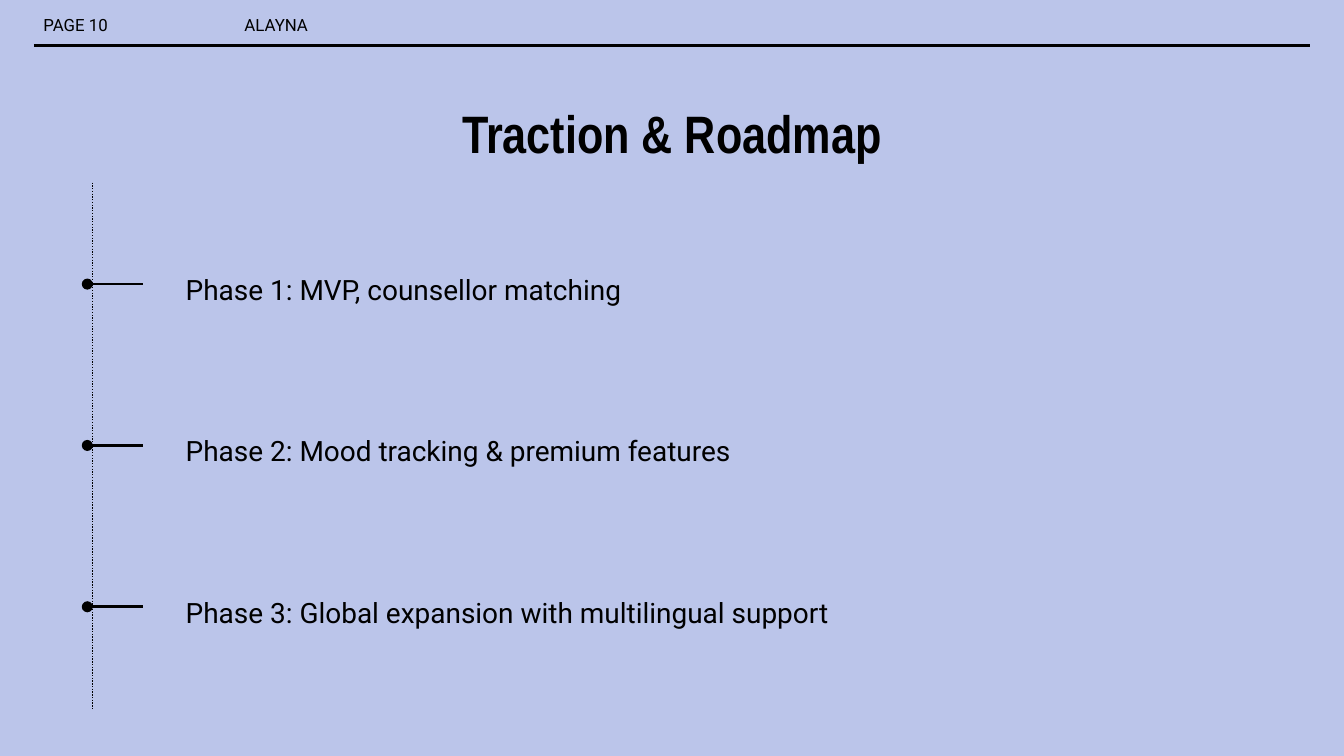
from dataclasses import dataclass

from lxml import etree
from pptx import Presentation
from pptx.dml.color import RGBColor
from pptx.enum.dml import MSO_LINE
from pptx.enum.shapes import MSO_CONNECTOR
from pptx.enum.text import MSO_ANCHOR, PP_ALIGN
from pptx.oxml.ns import qn
from pptx.shapes.connector import Connector
from pptx.slide import Slide
from pptx.util import Cm, Pt

STRAIGHT = MSO_CONNECTOR.STRAIGHT
DOTTED = MSO_LINE.ROUND_DOT
MIDDLE = MSO_ANCHOR.MIDDLE
LEFT = PP_ALIGN.LEFT
CENTER = PP_ALIGN.CENTER

COLORS = {"background": "BBC5EA", "ink": "000000"}
BODY_FONT = "Roboto"
TITLE_FONT = "Arial Narrow"

FIRST_PHASE_Y = 5.37
PHASE_STEP = 3.05
PHASE_HEIGHT = 1.96


@dataclass(frozen=True)
class Box:
    left: float
    top: float
    width: float
    height: float


@dataclass(frozen=True)
class HeaderLabel:
    text: str
    left: float


@dataclass(frozen=True)
class Phase:
    number: int
    goal: str


HEADER_LABELS = [HeaderLabel("PAGE 10", 0.64), HeaderLabel("ALAYNA", 4.44)]
PHASES = [
    Phase(1, "MVP, counsellor matching"),
    Phase(2, "Mood tracking & premium features"),
    Phase(3, "Global expansion with multilingual support"),
]


def add_text(s: Slide, text: str, box: Box, *, size: float, font: str = BODY_FONT,
             bold: bool = False, align: PP_ALIGN = LEFT,
             line_spacing: float = 1.0) -> None:
    sp = s.shapes.add_textbox(Cm(box.left), Cm(box.top), Cm(box.width), Cm(box.height))
    tf = sp.text_frame
    tf.word_wrap = True
    tf.vertical_anchor = MIDDLE
    tf.margin_left = tf.margin_right = Cm(0.18)
    tf.margin_top = tf.margin_bottom = Cm(0.1)
    p = tf.paragraphs[0]
    p.alignment = align
    p.line_spacing = line_spacing
    r = p.add_run()
    r.text = text
    r.font.size = Pt(size)
    r.font.name = font
    r.font.bold = bold
    r.font.color.rgb = RGBColor.from_string(COLORS["ink"])


def add_line(s: Slide, x1: float, y1: float, x2: float, y2: float,
             width: float = 1.5) -> Connector:
    line = s.shapes.add_connector(STRAIGHT, Cm(x1), Cm(y1), Cm(x2), Cm(y2))
    line.line.width = Pt(width)
    line.line.color.rgb = RGBColor.from_string(COLORS["ink"])
    etree.SubElement(line._element.spPr, qn("a:effectLst"))
    return line


def add_phase(s: Slide, phase: Phase, y: float) -> None:
    marker = add_line(s, 1.65, y, 2.7, y)
    etree.SubElement(marker.line._get_or_add_ln(), qn("a:headEnd"), type="oval")
    add_text(s, f"Phase {phase.number}: {phase.goal}",
             Box(3.33, y - PHASE_HEIGHT / 2, 20.42, PHASE_HEIGHT),
             size=15, line_spacing=1.3)


def main() -> None:
    prs = Presentation()
    prs.slide_width, prs.slide_height = Cm(25.4), Cm(14.29)
    s = prs.slides.add_slide(prs.slide_layouts[6])
    s.background.fill.solid()
    s.background.fill.fore_color.rgb = RGBColor.from_string(COLORS["background"])

    for label in HEADER_LABELS:
        add_text(s, label.text, Box(label.left, 0.08, 2.74, 0.76), size=9)
    add_line(s, 0.64, 0.86, 24.76, 0.86)

    add_text(s, "Traction & Roadmap", Box(1.65, 1.75, 22.1, 1.52),
             size=28.2, font=TITLE_FONT, bold=True, align=CENTER)

    timeline = add_line(s, 1.75, 3.45, 1.75, 13.41, width=0.75)
    timeline.line.dash_style = DOTTED
    for i, phase in enumerate(PHASES):
        add_phase(s, phase, FIRST_PHASE_Y + i * PHASE_STEP)

    prs.save("out.pptx")


if __name__ == "__main__":
    main()
